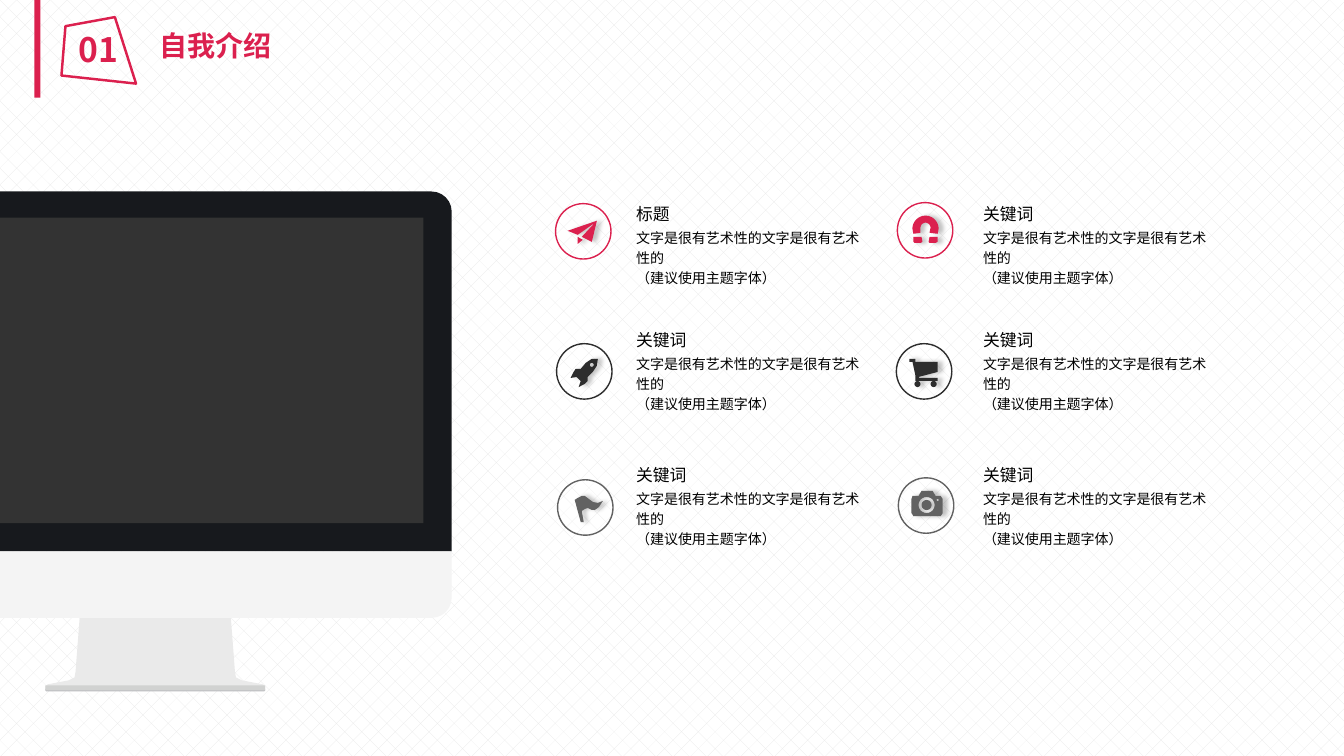
from math import cos, radians, sin

from lxml.etree import SubElement, fromstring
from pptx import Presentation
from pptx.dml.color import RGBColor
from pptx.enum.dml import MSO_PATTERN
from pptx.enum.shapes import MSO_SHAPE as Preset
from pptx.enum.text import MSO_ANCHOR as Anchor, MSO_AUTO_SIZE as AutoSize, PP_ALIGN as Align
from pptx.oxml.ns import qn
from pptx.util import Inches, Pt

FONT = "Noto Sans CJK SC"
COLORS = {
    name: RGBColor.from_string(value)
    for name, value in {
        "white": "FFFFFF", "lattice": "E7E7E7", "black": "000000",
        "red": "DB204E", "dark": "2D2D2D", "gray": "626262",
        "case": "17191D", "screen": "333333", "chin": "F4F4F4",
        "stand": "EAEAEA", "base": "D1D2D1", "underside": "BCBDC0",
    }.items()
}
SOFT_SHADOW = (
    '<a:effectLst xmlns:a="http://schemas.openxmlformats.org/drawingml/2006/main">'
    '<a:outerShdw blurRad="38100" dist="38100" dir="0" algn="l" rotWithShape="0">'
    '<a:srgbClr val="000000"><a:alpha val="23000"/></a:srgbClr>'
    "</a:outerShdw></a:effectLst>"
)

presentation = Presentation()
presentation.slide_width, presentation.slide_height = Inches(13.33), Inches(7.5)
slide = presentation.slides.add_slide(presentation.slide_layouts[6])


def arc(center_x, center_y, radius, start=0, end=360):
    """Return points along an arc; angles in degrees, clockwise on the slide."""
    steps = 24
    angles = [radians(start + (end - start) * step / steps) for step in range(steps + 1)]
    return [(center_x + radius * cos(a), center_y + radius * sin(a)) for a in angles]


def add_outline(contours):
    """Build one closed freeform from contours given in inches."""
    units = [[(x * 1000, y * 1000) for x, y in contour] for contour in contours]
    builder = slide.shapes.build_freeform(*units[0][0], scale=Inches(1) / 1000)
    for index, (first, *rest) in enumerate(units):
        if index:
            builder.move_to(*first)
        builder.add_line_segments(rest, close=True)
    shape = builder.convert_to_shape()
    shape.shadow.inherit = False
    return shape


# Patterned backdrop
backdrop = slide.shapes.add_shape(
    Preset.RECTANGLE, 0, 0, presentation.slide_width, presentation.slide_height)
backdrop.shadow.inherit = False
backdrop.line.fill.background()
backdrop.fill.patterned()
backdrop.fill.pattern = MSO_PATTERN.DOTTED_DIAMOND
backdrop.fill.fore_color.rgb = COLORS["lattice"]
backdrop.fill.back_color.rgb = COLORS["white"]

# Icons
plane = [
    [(5.92, 2.19), (5.87, 2.4), (5.77, 2.35), (5.9, 2.21), (5.73, 2.33), (5.63, 2.29)],
    [(5.73, 2.35), (5.78, 2.38), (5.73, 2.42)],
]
magnet = [
    [(9.06, 2.32), *arc(9.18, 2.27, 0.13, 180, 360), (9.3, 2.32), (9.22, 2.31),
     *arc(9.18, 2.26, 0.05, 360, 180), (9.13, 2.31)],
    [(9.06, 2.35), (9.14, 2.35), (9.15, 2.4), (9.13, 2.41), (9.07, 2.41), (9.06, 2.4)],
    [(9.22, 2.35), (9.3, 2.35), (9.3, 2.4), (9.28, 2.41), (9.22, 2.41), (9.21, 2.4)],
]
rocket = [
    [(5.83, 3.74), (5.88, 3.69), (5.92, 3.63), (5.93, 3.56), (5.87, 3.56), (5.81, 3.6),
     (5.76, 3.66), (5.71, 3.66), (5.69, 3.69), (5.66, 3.75), (5.72, 3.74), (5.76, 3.78),
     (5.74, 3.84), (5.8, 3.81), (5.83, 3.78)],
    arc(5.87, 3.62, 0.02, 360, 0),
]
cart = [
    [(9.02, 3.56), (9.08, 3.56), (9.08, 3.59), (9.3, 3.59), (9.3, 3.69), (9.11, 3.74),
     (9.12, 3.75), (9.3, 3.75), (9.3, 3.78), (9.08, 3.78), (9.08, 3.73), (9.05, 3.59),
     (9.02, 3.59)],
    arc(9.1, 3.81, 0.03),
    arc(9.26, 3.81, 0.03),
]
flag = [
    [(5.7, 4.96), (5.73, 4.94), (5.77, 4.92), (5.8, 4.92), (5.84, 4.95), (5.88, 4.98),
     (5.93, 4.99), (5.98, 4.97), (5.94, 5.03), (5.9, 5.06), (5.87, 5.06), (5.83, 5.04),
     (5.8, 5.05), (5.77, 5.07), (5.79, 5.18), (5.76, 5.18)],
]
camera = [
    [(9.04, 4.95), (9.05, 4.92), (9.11, 4.92), (9.14, 4.87), (9.25, 4.87), (9.28, 4.92),
     (9.33, 4.92), (9.35, 4.95), (9.35, 5.09), (9.33, 5.12), (9.06, 5.12), (9.04, 5.09)],
    arc(9.19, 5.01, 0.08, 360, 0),
    arc(9.19, 5.01, 0.05),
    arc(9.3, 4.96, 0.01, 360, 0),
]
RING = 0.55
for contours, color, left, top in [
    (plane, "red", 5.51, 2.02), (magnet, "red", 8.9, 2.01),
    (rocket, "dark", 5.52, 3.41), (cart, "dark", 8.89, 3.41),
    (flag, "gray", 5.53, 4.76), (camera, "gray", 8.91, 4.74),
]:
    icon = add_outline(contours)
    icon.fill.solid()
    icon.fill.fore_color.rgb = COLORS[color]
    icon.line.fill.background()
    properties = icon._element.spPr
    properties.replace(properties.find(qn("a:effectLst")), fromstring(SOFT_SHADOW))

    ring = slide.shapes.add_shape(Preset.OVAL, *map(Inches, (left, top, RING, RING)))
    ring.shadow.inherit = False
    ring.fill.background()
    ring.line.color.rgb = COLORS[color]
    ring.line.width = Pt(1)

# Monitor, and the bar beside the title
stand = add_outline([[
    (0.79, 6.13), (2.29, 6.13), (2.33, 6.66), (2.34, 6.72), (2.4, 6.75), (2.61, 6.79),
    (2.63, 6.81), (2.63, 6.85), (0.45, 6.85), (0.45, 6.81), (0.47, 6.79), (0.68, 6.75),
    (0.74, 6.72), (0.75, 6.66),
]])
stand.fill.solid()
stand.fill.fore_color.rgb = COLORS["stand"]
stand.line.fill.background()
CORNER = 0.2
for preset, color, box, adjustments in [
    (Preset.ROUNDED_RECTANGLE, "underside", (0.45, 6.83, 2.18, 0.03), [0.5]),
    (Preset.RECTANGLE, "base", (0.45, 6.8, 2.18, 0.05), []),
    (Preset.ROUND_2_SAME_RECTANGLE, "case", (-1.43, 1.9, 5.91, 3.57), [CORNER / 3.57, 0]),
    (Preset.ROUND_2_SAME_RECTANGLE, "chin", (-1.43, 5.47, 5.91, 0.66), [0, CORNER / 0.66]),
    (Preset.RECTANGLE, "screen", (-1.15, 2.16, 5.35, 3.03), []),
    (Preset.RECTANGLE, "red", (0.34, -0.01, 0.06, 0.98), []),
]:
    shape = slide.shapes.add_shape(preset, *map(Inches, box))
    shape.shadow.inherit = False
    shape.fill.solid()
    shape.fill.fore_color.rgb = COLORS[color]
    shape.line.fill.background()
    for index, value in enumerate(adjustments):
        shape.adjustments[index] = value

# Section badge
badge = add_outline([[(0.65, 0.26), (1.14, 0.17), (1.35, 0.83), (0.61, 0.75)]])
badge.fill.background()
badge.line.color.rgb = COLORS["red"]
badge.line.width = Pt(1.75)

# Text
NO_INSETS = dict.fromkeys(("margin_left", "margin_top", "margin_right", "margin_bottom"), 0)
GROWING = {"word_wrap": True, "auto_size": AutoSize.SHAPE_TO_FIT_TEXT}
STYLES = {
    "title": {"frame": GROWING, "paragraph": {}, "color": "red",
              "font": {"size": Pt(20), "bold": True}},
    "number": {"frame": GROWING, "paragraph": {"alignment": Align.CENTER}, "color": "red",
               "font": {"size": Pt(24), "bold": True}},
    "keyword": {"frame": {**NO_INSETS, "word_wrap": False, "vertical_anchor": Anchor.MIDDLE},
                "paragraph": {}, "color": "black", "font": {"size": Pt(12)}},
    "detail": {"frame": {**NO_INSETS, "word_wrap": True},
               "paragraph": {"line_spacing": 1.2}, "color": "black", "font": {"size": Pt(10)}},
}
DETAIL = "文字是很有艺术性的文字是很有艺术性的\v（建议使用主题字体）"
texts = [
    ("自我介绍", "title", (1.48, 0.23, 1.9, 0.44)),
    ("01", "number", (0.31, 0.24, 1.34, 0.5)),
]
for column, left in enumerate((6.31, 9.75)):
    for row, top in enumerate((2, 3.25, 4.59)):
        keyword = "标题" if column == row == 0 else "关键词"
        texts.append((keyword, "keyword", (left, top, 2.34, 0.24)))
        texts.append((DETAIL, "detail", (left, top + 0.24, 2.34, 0.65)))

for text, style_name, box in texts:
    style = STYLES[style_name]
    frame = slide.shapes.add_textbox(*map(Inches, box)).text_frame
    paragraph = frame.paragraphs[0]
    paragraph.text = text
    for target, values in ((frame, style["frame"]), (paragraph, style["paragraph"])):
        for name, value in values.items():
            setattr(target, name, value)
    for run in paragraph.runs:
        for name, value in {**style["font"], "name": FONT}.items():
            setattr(run.font, name, value)
        run.font.color.rgb = COLORS[style["color"]]
        SubElement(run._r.get_or_add_rPr(), qn("a:ea")).set("typeface", FONT)

presentation.save("out.pptx")
